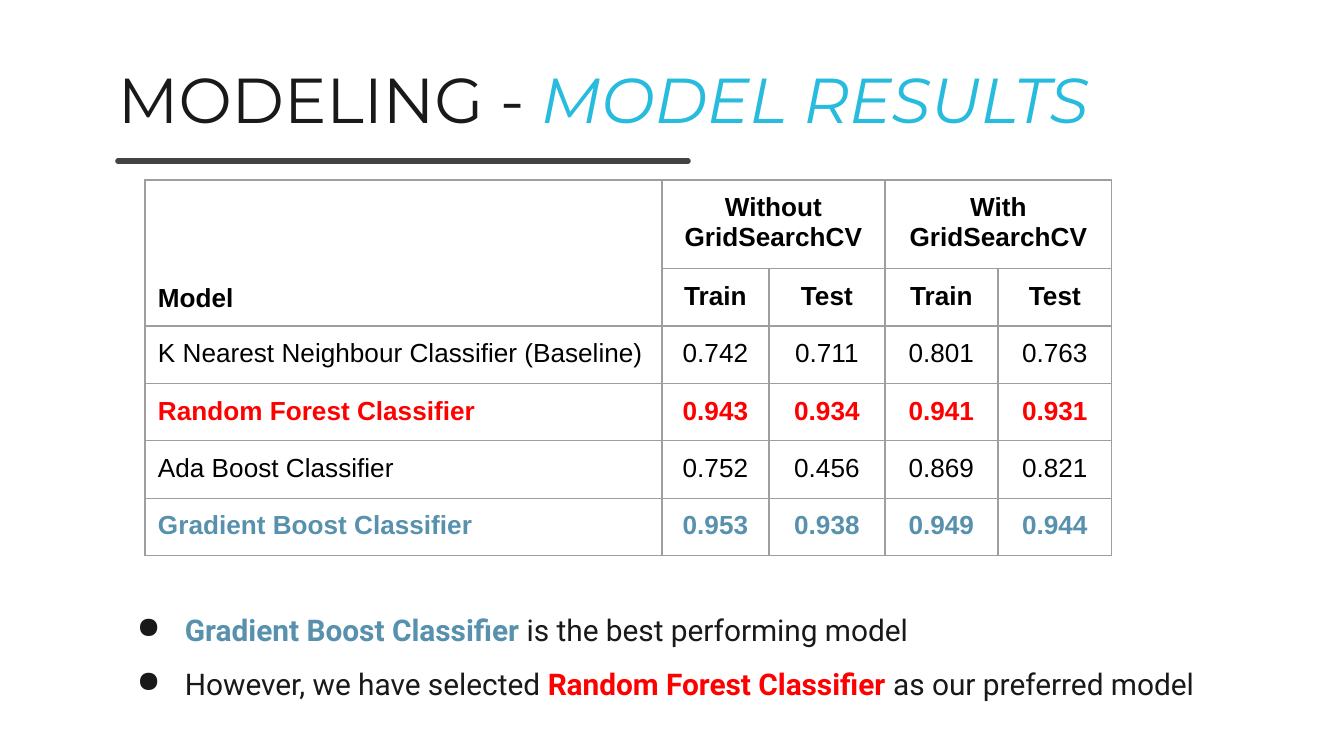
import pptx
import pptx.dml.color
import pptx.enum.shapes
import pptx.enum.text
import pptx.oxml
import pptx.oxml.ns
import pptx.util
from lxml import etree

COLORS = {
    "ink": "191919",
    "black": "000000",
    "cyan": "27BBDE",
    "steel": "5891AD",
    "red": "FF0000",
    "rule": "434343",
    "border": "9E9E9E",
}
TITLE = [("MODELING - ", "ink", False), ("MODEL RESULTS", "cyan", True)]
BULLETS = [
    [("Gradient Boost Classifier ", "steel", True), ("is the best performing model", "ink", False)],
    [
        ("However, we have selected ", "ink", False),
        ("Random Forest Classifier ", "red", True),
        ("as our preferred model", "ink", False),
    ],
]
ROWS = [
    (["Model", "Without GridSearchCV", "", "With GridSearchCV", ""], "black", True),
    (["", "Train", "Test", "Train", "Test"], "black", True),
    (["K Nearest Neighbour Classifier (Baseline)", "0.742", "0.711", "0.801", "0.763"], "black", False),
    (["Random Forest Classifier", "0.943", "0.934", "0.941", "0.931"], "red", True),
    (["Ada Boost Classifier", "0.752", "0.456", "0.869", "0.821"], "black", False),
    (["Gradient Boost Classifier", "0.953", "0.938", "0.949", "0.944"], "steel", True),
]
MERGES = [((0, 0), (1, 0)), ((0, 1), (0, 2)), ((0, 3), (0, 4))]
COLUMN_WIDTHS = [517, 107, 116, 113, 114]
ROW_HEIGHTS = [85] + [56] * 5
INSET = 13

qn = pptx.oxml.ns.qn


def px(value):
    return pptx.util.Emu(round(value * 914400 / 134.4))


def color(name):
    return pptx.dml.color.RGBColor.from_string(COLORS[name])


def set_font(font, name, size):
    font.name = name
    font.size = pptx.util.Pt(size)


def add_text_box(slide, left, top, width, height, top_inset):
    frame = slide.shapes.add_textbox(px(left), px(top), px(width), px(height)).text_frame
    frame.word_wrap = True
    frame.margin_left = frame.margin_right = frame.margin_bottom = px(INSET)
    frame.margin_top = px(top_inset)
    return frame


def add_run(paragraph, text, color_name):
    run = paragraph.add_run()
    run.text = text
    run.font.color.rgb = color(color_name)
    return run


def add_title(slide):
    frame = add_text_box(slide, 105, 79, 1134, 70, 0)
    frame.vertical_anchor = pptx.enum.text.MSO_ANCHOR.BOTTOM
    paragraph = frame.paragraphs[0]
    set_font(paragraph.font, "Montserrat", 34)
    for text, color_name, italic in TITLE:
        add_run(paragraph, text, color_name).font.italic = italic


def add_rule(slide):
    rule = slide.shapes.add_connector(
        pptx.enum.shapes.MSO_CONNECTOR.STRAIGHT, px(118), px(161), px(688), px(161)
    )
    rule.line.color.rgb = color("rule")
    rule.line.width = pptx.util.Pt(3)
    properties = rule._element.spPr
    properties.find(qn("a:ln")).set("cap", "rnd")
    etree.SubElement(properties, qn("a:effectLst"))


def add_bullet(paragraph):
    properties = paragraph._p.get_or_add_pPr()
    properties.set("marL", str(px(67)))
    properties.set("indent", str(px(-48)))
    bullet_color = etree.SubElement(properties, qn("a:buClr"))
    etree.SubElement(bullet_color, qn("a:srgbClr"), val=COLORS["ink"])
    etree.SubElement(properties, qn("a:buChar"), char="●")


def add_bullets(slide):
    frame = add_text_box(slide, 105, 581, 1134, 124, INSET)
    for index, runs in enumerate(BULLETS):
        paragraph = frame.add_paragraph() if index else frame.paragraphs[0]
        paragraph.line_spacing = 1.5
        add_bullet(paragraph)
        set_font(paragraph.font, "Roboto", 16)
        for text, color_name, bold in runs:
            add_run(paragraph, text, color_name).font.bold = bold


def add_borders(cell):
    properties = cell._tc.get_or_add_tcPr()
    for index, side in enumerate(("a:lnL", "a:lnR", "a:lnT", "a:lnB")):
        line = etree.Element(qn(side), w=str(pptx.util.Pt(0.75)))
        fill = etree.SubElement(line, qn("a:solidFill"))
        etree.SubElement(fill, qn("a:srgbClr"), val=COLORS["border"])
        properties.insert(index, line)


def add_results_table(slide):
    table = slide.shapes.add_table(
        len(ROWS), len(COLUMN_WIDTHS), px(145), px(180), px(sum(COLUMN_WIDTHS)), px(sum(ROW_HEIGHTS))
    ).table
    table.first_row = table.horz_banding = False
    for column, width in zip(table.columns, COLUMN_WIDTHS):
        column.width = px(width)
    for row, height in zip(table.rows, ROW_HEIGHTS):
        row.height = px(height)
    for row_index, (texts, color_name, bold) in enumerate(ROWS):
        for column_index, text in enumerate(texts):
            cell = table.cell(row_index, column_index)
            cell.fill.background()
            cell.margin_left = cell.margin_right = cell.margin_top = cell.margin_bottom = px(INSET)
            add_borders(cell)
            paragraph = cell.text_frame.paragraphs[0]
            set_font(paragraph.font, "Arial", 14)
            paragraph.font.bold = bold
            paragraph.font.color.rgb = color(color_name)
            if column_index:
                paragraph.alignment = pptx.enum.text.PP_ALIGN.CENTER
            if text:
                paragraph.add_run().text = text
    for first, last in MERGES:
        table.cell(*first).merge(table.cell(*last))
    table.cell(0, 0).vertical_anchor = pptx.enum.text.MSO_ANCHOR.BOTTOM


def main():
    presentation = pptx.Presentation()
    presentation.slide_width = px(1344)
    presentation.slide_height = px(756)
    slide = presentation.slides.add_slide(presentation.slide_layouts[6])
    add_title(slide)
    add_rule(slide)
    add_bullets(slide)
    add_results_table(slide)
    presentation.save("out.pptx")


if __name__ == "__main__":
    main()
